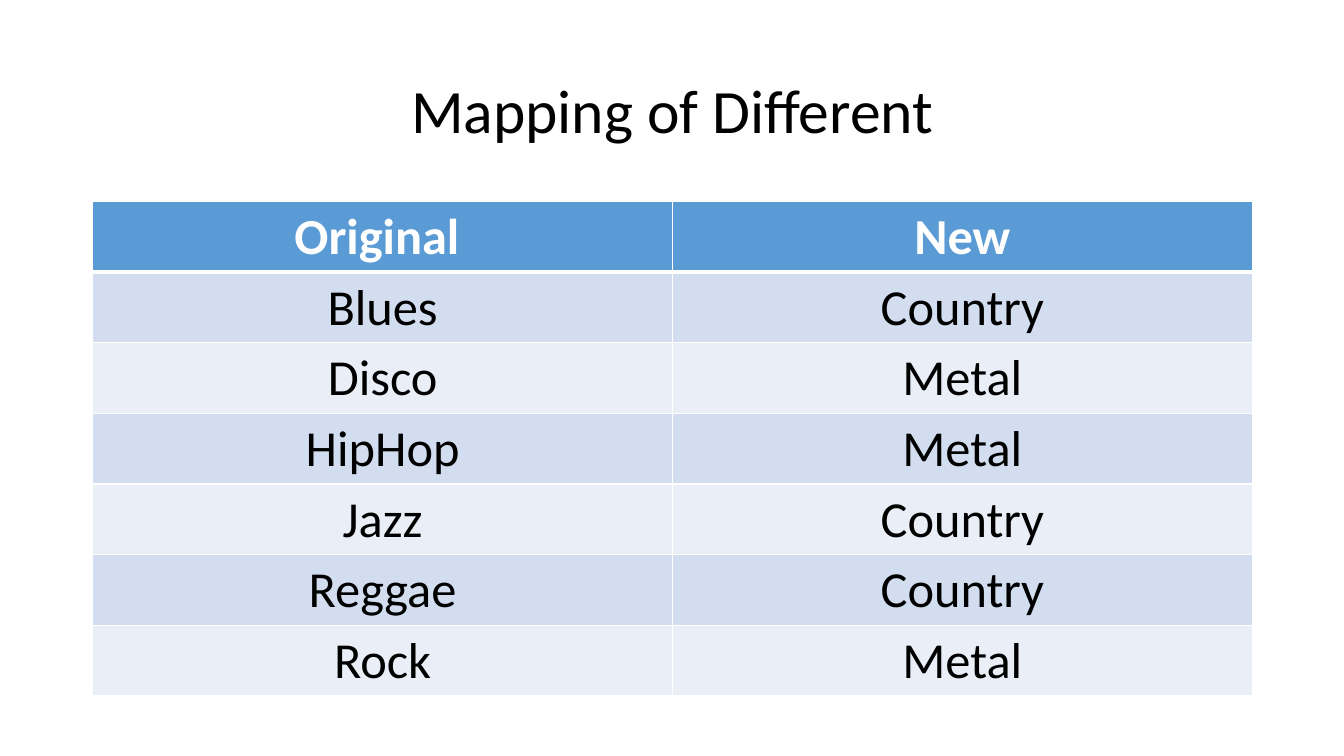
from dataclasses import dataclass

from lxml import etree
from pptx import Presentation
from pptx.dml.color import RGBColor
from pptx.enum.text import MSO_ANCHOR, PP_ALIGN
from pptx.oxml.ns import qn
from pptx.util import Inches, Pt

CENTER = PP_ALIGN.CENTER
MIDDLE = MSO_ANCHOR.MIDDLE
BLANK_LAYOUT = 6


@dataclass(frozen=True)
class Theme:
    font: str = "Calibri"
    title_size: int = 44
    table_size: int = 36
    text: str = "000000"
    header_text: str = "FFFFFF"
    header_fill: str = "5B9BD5"
    band_fills: tuple = ("D2DEEF", "EAEFF7")
    border: str = "FFFFFF"
    border_width: int = 1
    header_rule_width: int = 3


THEME = Theme()

TITLE = "Mapping of Different"
GENRES = [
    ("Original ", "New"),
    ("Blues", "Country"),
    ("Disco", "Metal"),
    ("HipHop", "Metal"),
    ("Jazz", "Country"),
    ("Reggae", "Country"),
    ("Rock", "Metal"),
]


def write_text(paragraph, text, size, color, bold=False):
    paragraph.alignment = CENTER
    run = paragraph.add_run()
    run.text = text
    run.font.name = THEME.font
    run.font.size = Pt(size)
    run.font.bold = bold
    run.font.color.rgb = RGBColor.from_string(color)


def set_border(properties, side, width):
    line = etree.Element(qn(f"a:{side}"), w=str(Pt(width)))
    fill = etree.SubElement(line, qn("a:solidFill"))
    etree.SubElement(fill, qn("a:srgbClr"), val=THEME.border)
    return line


def style_cell(cell, fill, top_width, bottom_width):
    cell.fill.solid()
    cell.fill.fore_color.rgb = RGBColor.from_string(fill)
    properties = cell._tc.get_or_add_tcPr()
    widths = {
        "lnL": THEME.border_width,
        "lnR": THEME.border_width,
        "lnT": top_width,
        "lnB": bottom_width,
    }
    for position, (side, width) in enumerate(widths.items()):
        properties.insert(position, set_border(properties, side, width))


def add_title(slide, left, top, width, height):
    shape = slide.shapes.add_textbox(
        Inches(left), Inches(top), Inches(width), Inches(height)
    )
    frame = shape.text_frame
    frame.word_wrap = True
    frame.vertical_anchor = MIDDLE
    paragraph = frame.paragraphs[0]
    paragraph.line_spacing = 0.9
    write_text(paragraph, TITLE, THEME.title_size, THEME.text)


def add_genre_table(slide, left, top, width, height):
    table = slide.shapes.add_table(
        len(GENRES), len(GENRES[0]),
        Inches(left), Inches(top), Inches(width), Inches(height),
    ).table
    for row_index, genres in enumerate(GENRES):
        header = row_index == 0
        fill = THEME.header_fill if header else THEME.band_fills[(row_index - 1) % 2]
        color = THEME.header_text if header else THEME.text
        top_width = THEME.header_rule_width if row_index == 1 else THEME.border_width
        bottom_width = THEME.header_rule_width if header else THEME.border_width
        for column_index, genre in enumerate(genres):
            cell = table.cell(row_index, column_index)
            style_cell(cell, fill, top_width, bottom_width)
            paragraph = cell.text_frame.paragraphs[0]
            write_text(paragraph, genre, THEME.table_size, color, header)


def main():
    presentation = Presentation()
    presentation.slide_width = Inches(13.33)
    presentation.slide_height = Inches(7.5)
    slide = presentation.slides.add_slide(presentation.slide_layouts[BLANK_LAYOUT])
    add_title(slide, 0.92, 0.4, 11.5, 1.45)
    add_genre_table(slide, 0.92, 2, 11.5, 4.9)
    presentation.save("out.pptx")


if __name__ == "__main__":
    main()
